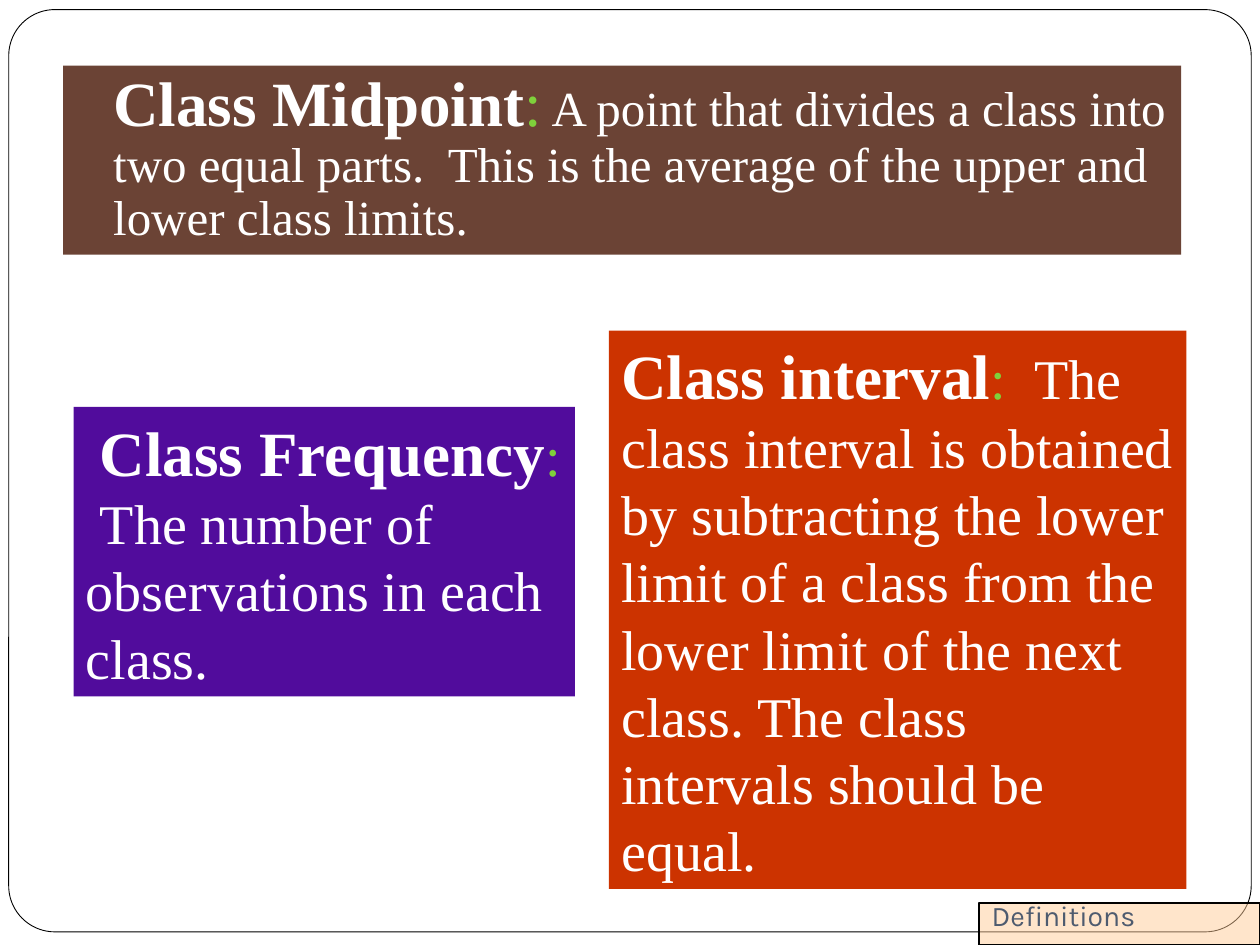
import pptx
import pptx.util
import pptx.dml.color
import pptx.enum.shapes
import pptx.enum.text
import pptx.oxml
import pptx.oxml.ns

Pt = pptx.util.Pt
RGBColor = pptx.dml.color.RGBColor
MSO_SHAPE = pptx.enum.shapes.MSO_SHAPE
MSO_ANCHOR = pptx.enum.text.MSO_ANCHOR
PP_ALIGN = pptx.enum.text.PP_ALIGN

WHITE = RGBColor(0xFF, 0xFF, 0xFF)
BLACK = RGBColor(0, 0, 0)
BROWN = RGBColor(0x6B, 0x43, 0x35)
PURPLE = RGBColor(0x51, 0x0C, 0x9C)
RED = RGBColor(0xCC, 0x33, 0x00)
GREEN = RGBColor(0x7F, 0xD1, 0x3B)
PEACH = RGBColor(0xFF, 0xCC, 0x99)
SLATE = RGBColor(0x4E, 0x5B, 0x6F)
SERIF = "Times New Roman"


def set_attrs(obj, values):
    for name, value in values.items():
        setattr(obj, name, value)


def paint(sp, fill, line_width=None):
    sp.fill.solid()
    sp.fill.fore_color.rgb = fill
    if line_width:
        sp.line.color.rgb = BLACK
        sp.line.width = Pt(line_width)
    else:
        sp.line.fill.background()


def add_box(s, kind, box, fill, line_width=None):
    sp = s.shapes.add_shape(kind, *map(Pt, box))
    sp.shadow.inherit = False
    paint(sp, fill, line_width)
    return sp


def format_frame(tf, anchor, bottom=3.6):
    set_attrs(tf, dict(
        word_wrap=True, vertical_anchor=anchor,
        auto_size=pptx.enum.text.MSO_AUTO_SIZE.NONE,
        margin_left=Pt(7.2), margin_right=Pt(7.2),
        margin_top=Pt(3.6), margin_bottom=Pt(bottom)))


def add_run(p, text, size, color, font=SERIF, bold=False):
    r = p.add_run()
    r.text = text
    set_attrs(r.font, dict(name=font, size=Pt(size), bold=bold))
    r.font.color.rgb = color


def add_definition(s, box, fill, runs, para, indent=0):
    """A filled panel holding one paragraph of (text, size, colour, bold) runs."""
    sp = add_box(s, MSO_SHAPE.RECTANGLE, box, fill)
    format_frame(sp.text_frame, MSO_ANCHOR.TOP)
    p = sp.text_frame.paragraphs[0]
    set_attrs(p, dict(alignment=PP_ALIGN.LEFT, **para))
    p._p.get_or_add_pPr().set("marL", str(Pt(indent)))
    for text, size, color, bold in runs:
        add_run(p, text, size, color, bold=bold)


def format_title(s, text, box):
    title = s.shapes.title
    set_attrs(title, dict(zip(("left", "top", "width", "height"), map(Pt, box))))
    paint(title, PEACH, 0.75)
    # Half-transparent fill
    color = title.fill._xPr.find(".//" + pptx.oxml.ns.qn("a:srgbClr"))
    color.append(pptx.oxml.parse_xml(
        "<a:alpha %s val='50000'/>" % pptx.oxml.ns.nsdecls("a")))
    format_frame(title.text_frame, MSO_ANCHOR.BOTTOM, bottom=7.2)
    p = title.text_frame.paragraphs[0]
    p.alignment = PP_ALIGN.LEFT
    add_run(p, text, 16.2, SLATE, font="Karla")
    # Bring the title to the front
    s.shapes._spTree.append(title._element)


def main():
    prs = pptx.Presentation()
    set_attrs(prs, dict(slide_width=Pt(720), slide_height=Pt(540)))
    s = prs.slides.add_slide(prs.slide_layouts[5])

    # Rounded page frame
    frame = add_box(s, MSO_SHAPE.ROUNDED_RECTANGLE, (5, 5.5, 710, 527), WHITE, 0.5)
    frame.adjustments[0] = 0.05

    # Definitions
    add_definition(s, (36, 37.5, 639, 108), BROWN, [
        ("Class Midpoint", 36, WHITE, True),
        (":", 36, GREEN, False),
        (" A point that divides a class into two equal parts.  "
         "This is the average of the upper and lower class limits.", 28, WHITE, False),
    ], dict(line_spacing=0.9, space_before=Pt(5.8)), indent=21.6)

    spaced = dict(space_before=Pt(7))
    add_definition(s, (42, 232.5, 286.5, 165.5), PURPLE, [
        (" ", 32, GREEN, False),
        ("Class Frequency", 36, WHITE, True),
        (":  ", 32, GREEN, False),
        ("The number of  observations in each class.", 32, WHITE, False),
    ], spaced)
    add_definition(s, (348, 189, 330, 319), RED, [
        ("Class interval", 36, WHITE, True),
        (":  ", 32, GREEN, False),
        ("The class interval is obtained by subtracting the lower limit of a class "
         "from the lower limit of the next class. The class intervals should be equal.",
         32, WHITE, False),
    ], spaced)

    # Title tag in the corner
    format_title(s, "Definitions", (559.5, 516, 160.5, 24))
    prs.save("out.pptx")


if __name__ == "__main__":
    main()
